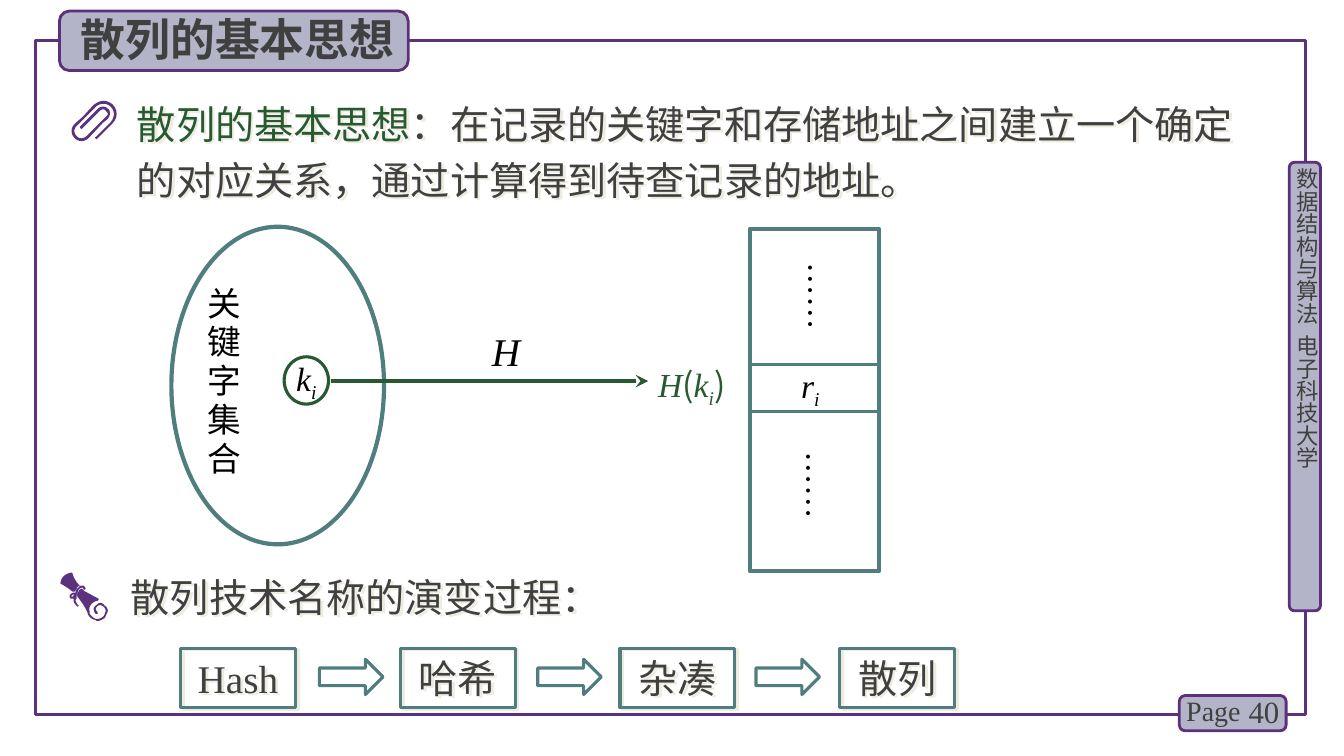
from dataclasses import dataclass

from lxml import etree
from pptx import Presentation
from pptx import util as u
from pptx.dml.color import RGBColor
from pptx.enum import shapes, text
from pptx.oxml.ns import qn

Pt = u.Pt
KIND = shapes.MSO_SHAPE
ALIGN = text.PP_ALIGN
ANCHOR = text.MSO_ANCHOR


@dataclass(frozen=True)
class Theme:
    purple: str = "5A327D"
    badge_line: str = "5C307D"
    badge_fill: str = "B4B4C8"
    teal: str = "507D7D"
    green: str = "285A32"
    ink: str = "404040"
    black: str = "000000"
    shadow: str = "EEECE1"
    sans: str = "Noto Sans CJK SC"
    serif: str = "Times New Roman"
    title: int = 32
    body: int = 28
    label: int = 24
    number: int = 22
    page: int = 20
    side: int = 16


THEME = Theme()

# Outlines in hundredths of an inch: a pair is a corner, six numbers are a Bézier curve.
CLIP = [[
    (112, 104), (110, 102, 106, 100, 103, 100), (99, 100, 96, 102, 93, 104),
    (82, 116), (74, 123), (70, 127, 70, 133, 74, 137), (76, 139, 78, 140, 81, 140),
    (83, 140, 86, 139, 88, 137), (102, 122), (107, 118), (108, 116, 109, 115, 109, 113),
    (109, 111, 109, 109, 107, 108), (105, 105, 100, 105, 97, 108), (80, 125),
    (79, 126, 79, 127, 80, 127), (80, 128, 81, 128, 81, 128), (82, 127), (99, 110),
    (101, 108, 104, 108, 105, 110), (106, 111, 107, 112, 107, 113),
    (107, 114, 106, 115, 105, 116), (100, 121), (86, 135), (83, 138, 78, 138, 76, 135),
    (73, 132, 73, 128, 76, 125), (77, 124), (95, 106), (97, 104, 100, 103, 103, 103),
    (105, 103, 108, 104, 110, 106), (114, 110, 114, 116, 110, 121), (95, 136),
    (94, 136, 94, 137, 95, 137), (95, 138, 95, 138, 96, 138), (97, 137), (112, 122),
    (117, 117, 117, 109, 112, 104),
]]
SCROLL_CAP = [[
    (74, 587), (75, 586, 76, 584, 77, 582), (79, 581), (73, 575, 72, 569, 72, 569),
    (71, 568), (71, 568, 61, 569, 60, 578), (60, 579), (60, 579, 66, 582, 72, 587),
]]
SCROLL_ROLL = [[
    (104, 601), (103, 599, 99, 596, 96, 600), (94, 601, 93, 603, 93, 604),
    (93, 606, 94, 608, 95, 609), (97, 609), (97, 607), (96, 607, 95, 605, 95, 604),
    (95, 603, 96, 602, 97, 601), (100, 599, 103, 602, 103, 602),
    (104, 603, 105, 605, 105, 606), (104, 608, 104, 610, 103, 611),
    (100, 614, 98, 614, 95, 614), (92, 613, 90, 610, 89, 609), (89, 607),
    (88, 604, 89, 601, 91, 599), (94, 596, 97, 596, 97, 596), (98, 595), (98, 594),
    (92, 591, 87, 588, 83, 586), (83, 585), (81, 584), (79, 585),
    (78, 586, 78, 587, 77, 589), (76, 590), (77, 592), (80, 596, 84, 601, 87, 608),
    (87, 609), (88, 611, 91, 615, 95, 615), (95, 616, 96, 616, 97, 616),
    (99, 616, 101, 615, 104, 613), (105, 611, 106, 609, 107, 606),
    (107, 604, 106, 602, 104, 601),
]]
SCROLL_RIBBON = [
    [(77, 602), (76, 601), (75, 600), (74, 599, 73, 597, 73, 595), (73, 594), (74, 593),
     (73, 594), (71, 594), (70, 594, 69, 593, 69, 591), (70, 589, 72, 588, 73, 588),
     (75, 588), (75, 586, 76, 584, 78, 583), (78, 582, 80, 581, 81, 581), (83, 581),
     (84, 582, 85, 583, 85, 584), (84, 585), (83, 585), (83, 584, 82, 583, 82, 583),
     (81, 583), (79, 584), (78, 585, 77, 587, 77, 589), (76, 590), (76, 594),
     (75, 595), (75, 597, 76, 598, 77, 600), (78, 600), (78, 601)],
    [(73, 590), (72, 590, 72, 590, 71, 591), (71, 593), (72, 592), (73, 591), (74, 590)],
]


def flatten(contour, steps=6):
    """Turn corners and Bézier curves into plain points, in EMU."""
    points = [contour[0]]
    for segment in contour[1:]:
        if len(segment) == 2:
            points.append(segment)
            continue
        nodes = [points[-1], segment[:2], segment[2:4], segment[4:]]
        for step in range(1, steps + 1):
            t = step / steps
            weights = ((1 - t) ** 3, 3 * t * (1 - t) ** 2, 3 * t * t * (1 - t), t ** 3)
            points.append(tuple(sum(w * n[axis] for w, n in zip(weights, nodes))
                                for axis in (0, 1)))
    return [(x * Pt(0.72), y * Pt(0.72)) for x, y in points]


def span(box, content, size, colour=THEME.ink, font=THEME.sans, bold=False,
         italic=False, baseline=None):
    """Append formatted text to the first paragraph of the box."""
    run = box.text_frame.paragraphs[0].add_run()
    run.text = content
    run.font.size = Pt(size)
    run.font.bold, run.font.italic = bold, italic
    run.font.color.rgb = RGBColor.from_string(colour)
    run.font.name = font
    properties = run.font._element
    etree.SubElement(properties, qn("a:ea"), typeface=THEME.sans)
    if baseline:
        properties.set("baseline", str(baseline * 1000))


def symbol(box, letter, colour=THEME.black):
    """Append an italic letter with the subscript i."""
    style = dict(size=THEME.label, colour=colour, font=THEME.serif, italic=True)
    span(box, letter, **style)
    span(box, "i", baseline=-25, **style)


class Page:
    def __init__(self, deck, theme):
        self.theme = theme
        self.slide = deck.slides.add_slide(deck.slide_layouts[5])
        self.shapes = self.slide.shapes

    def frame(self, box, margins=(7.2, 3.6, 7.2, 3.6), align=ALIGN.LEFT, anchor=ANCHOR.TOP,
              spacing=None, wrap=True, vertical=False):
        """Set the text frame of a box."""
        body = box.text_frame
        body.word_wrap, body.vertical_anchor = wrap, anchor
        body.auto_size = text.MSO_AUTO_SIZE.NONE
        body.margin_left, body.margin_top, body.margin_right, body.margin_bottom = map(Pt, margins)
        para = body.paragraphs[0]
        para.alignment, para.line_spacing = align, spacing
        if vertical:
            body._txBody.bodyPr.set("vert", "eaVert")
        return box

    def shape(self, kind, place, line, width, fill=None):
        shape = self.shapes.add_shape(kind, *map(Pt, place))
        shape.shadow.inherit = False
        shape.line.color.rgb = RGBColor.from_string(line)
        shape.line.width = Pt(width)
        if fill:
            shape.fill.solid()
            shape.fill.fore_color.rgb = RGBColor.from_string(fill)
        else:
            shape.fill.background()
        return shape

    def badge(self, *place):
        return self.shape(KIND.ROUNDED_RECTANGLE, place, self.theme.badge_line, 2,
                          self.theme.badge_fill)

    def text(self, place, **frame):
        return self.frame(self.shapes.add_textbox(*map(Pt, place)), **frame)

    def label(self, place, **frame):
        return self.text(place, **{"margins": (1.4, 0, 1.4, 0), "spacing": 0.96, **frame})

    def title(self, content, place):
        box = self.shapes.title
        self.shapes._spTree.append(box._element)
        box.left, box.top, box.width, box.height = map(Pt, place)
        span(self.frame(box), content, self.theme.title, bold=True)

    def line(self, start, end, colour, width, arrow=False):
        line = self.shapes.add_connector(shapes.MSO_CONNECTOR.STRAIGHT, *map(Pt, start + end))
        line.line.color.rgb = RGBColor.from_string(colour)
        line.line.width = Pt(width)
        if arrow:
            etree.SubElement(line.line._get_or_add_ln(), qn("a:tailEnd"), type="stealth")
        etree.SubElement(line._element.spPr, qn("a:effectLst"))

    def outline(self, contours):
        first, *others = map(flatten, contours)
        builder = self.shapes.build_freeform(*first[0])
        builder.add_line_segments(first[1:])
        for points in others:
            builder.move_to(*points[0])
            builder.add_line_segments(points[1:])
        shape = builder.convert_to_shape()
        shape.shadow.inherit = False
        shape.fill.solid()
        shape.fill.fore_color.rgb = RGBColor.from_string(self.theme.purple)
        shape.line.fill.background()

    def cast_shadow(self, box):
        box.shadow.inherit = False
        effects = box._element.spPr.find(qn("a:effectLst"))
        shadow = etree.SubElement(effects, qn("a:outerShdw"), dist=str(Pt(2.2)),
                                  dir=str(27 * 60000), algn="ctr", rotWithShape="0")
        etree.SubElement(shadow, qn("a:srgbClr"), val=self.theme.shadow)


def main():
    deck = Presentation()
    deck.slide_width, deck.slide_height = Pt(960), Pt(540)
    theme = THEME
    page = Page(deck, theme)

    page.shape(KIND.RECTANGLE, (25.2, 28.8, 907.2, 481.7), theme.purple, 2.25)
    page.badge(920.9, 115.9, 22.3, 320.4)
    side = page.text((923.8, 120.2, 19.4, 323.3), margins=(0, 0, 0, 0), vertical=True)
    span(side, "数据结构与算法  电子科技大学", theme.side)
    page.badge(842.4, 496.8, 76.3, 25.2)
    number = page.text((878.4, 493.9, 42.5, 28.8), align=ALIGN.RIGHT, anchor=ANCHOR.MIDDLE)
    span(number, "40", theme.number, font=theme.serif)
    span(page.text((840.2, 491.8, 56.2, 31.7)), "Page", theme.page, font=theme.serif)
    page.badge(42.5, 7.9, 249.1, 42.5)
    page.title("散列的基本思想", (50.4, 5, 247.7, 46.1))

    keys = page.label((146.9, 203.8, 24.5, 138.2), align=ALIGN.JUSTIFY)
    span(keys, "关键字集合", theme.label, theme.black)
    page.shape(KIND.OVAL, (122.4, 162, 151.9, 226.8), theme.teal, 3)

    left, width, cell_top, cell_bottom = 535.7, 92.2, 260.3, 293.8
    page.shape(KIND.RECTANGLE, (left, 163.4, width, 244.8), theme.teal, 3)
    for y in (cell_top, cell_bottom):
        page.line((left, y), (left + width, y), theme.teal, 2.25)
    record = page.text((left, cell_top, width, cell_bottom - cell_top), margins=(0, 0, 6, 0),
                       align=ALIGN.CENTER, anchor=ANCHOR.MIDDLE)
    symbol(record, "r")
    for x, y in ((574.6, 185), (573.1, 319.7)):
        dots = page.label((x, y, 26.6, 64.8), margins=(1.4, 2.9, 1.4, 0), vertical=True)
        span(dots, "……", theme.label, theme.black, theme.serif)

    address = page.label((468.7, 259.9, 58.3, 20.2))
    span(address, "H", theme.label, theme.green, theme.serif, italic=True)
    span(address, "(", theme.label, theme.green)
    symbol(address, "k", theme.green)
    span(address, ")", theme.label, theme.green)
    span(page.label((349.9, 236.2, 53.3, 26.6)), "H", theme.body, theme.black,
         theme.serif, italic=True)
    page.line((236.2, 272.2), (463, 272.2), theme.green, 3, arrow=True)
    key = page.shape(KIND.OVAL, (203, 254.9, 31.7, 33.8), theme.green, 2.25)
    page.frame(key, (0, 0, 0, 0), ALIGN.CENTER, ANCHOR.MIDDLE, wrap=False)
    symbol(key, "k")

    idea = page.text((90.7, 61.9, 807.8, 85), spacing=Pt(40))
    span(idea, "散列的基本思想", theme.body, theme.green)
    span(idea, "：在记录的关键字和存储地址之间建立一个确定的对应关系，"
         "通过计算得到待查记录的地址。", theme.body)
    page.cast_shadow(idea)
    page.outline(CLIP)

    for index, name in enumerate(("Hash", "哈希", "杂凑", "散列")):
        if index:
            page.shape(KIND.RIGHT_ARROW, (72.3 + 155.9 * index, 470.9, 45.4, 25.2),
                       theme.teal, 2.25)
        step = page.shape(KIND.RECTANGLE, (128.9 + 157 * index, 463, 82.1, 42.5),
                          theme.teal, 2.25)
        page.frame(step, align=ALIGN.CENTER, anchor=ANCHOR.MIDDLE)
        span(step, name, theme.body, font=theme.serif)
        page.cast_shadow(step)

    for part in (SCROLL_CAP, SCROLL_ROLL, SCROLL_RIBBON):
        page.outline(part)
    history = page.text((86.4, 406.1, 504, 41))
    span(history, "散列技术名称的演变过程：", theme.body)
    page.cast_shadow(history)
    deck.save("out.pptx")


if __name__ == "__main__":
    main()
